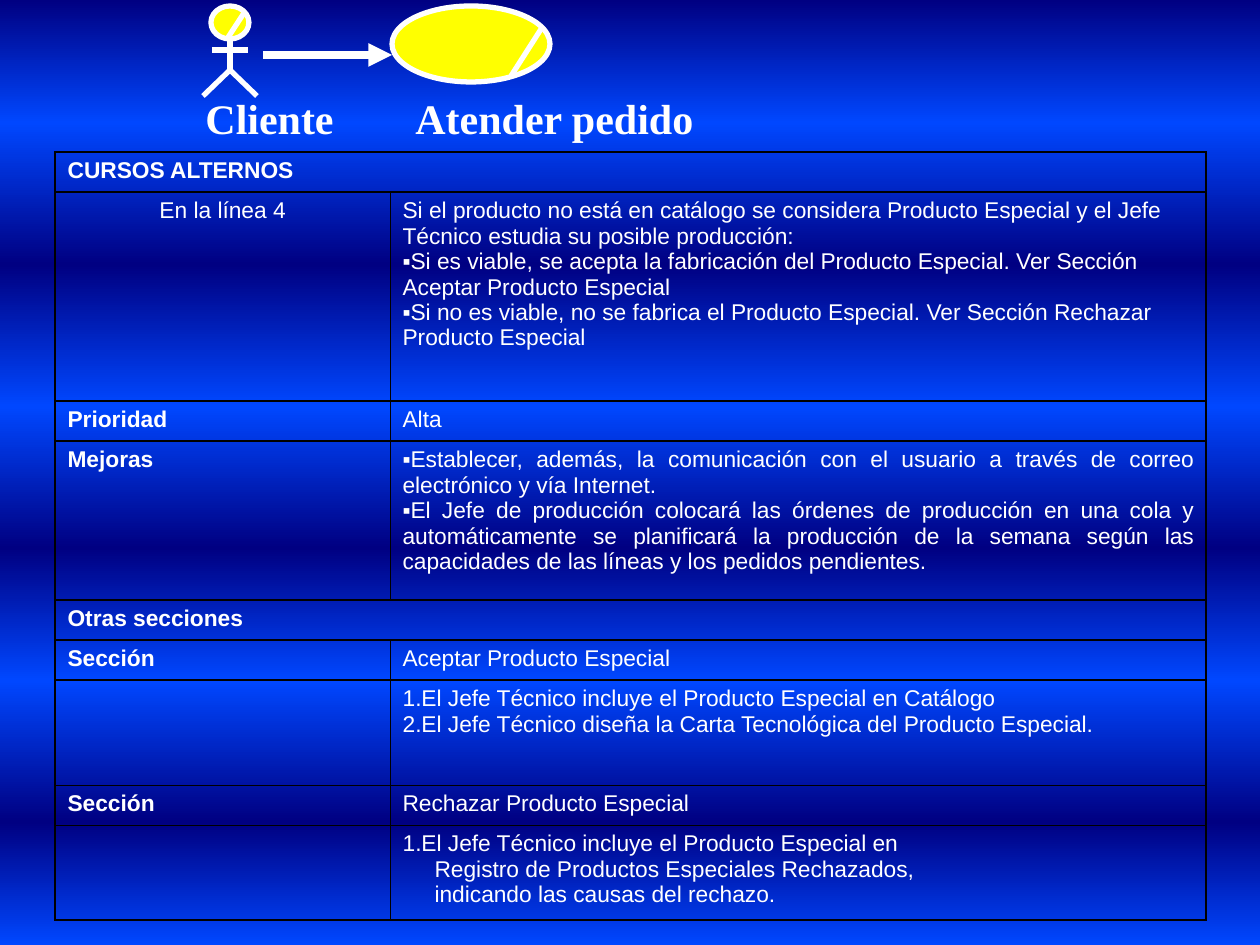
from lxml import etree
from pptx import Presentation
from pptx.dml.color import RGBColor
from pptx.enum.shapes import MSO_CONNECTOR, MSO_SHAPE
from pptx.enum.text import PP_ALIGN
from pptx.oxml.ns import qn
from pptx.util import Pt

STRAIGHT = MSO_CONNECTOR.STRAIGHT
OVAL = MSO_SHAPE.OVAL
LEFT, CENTER, JUSTIFY = PP_ALIGN.LEFT, PP_ALIGN.CENTER, PP_ALIGN.JUSTIFY

PX = 914400 / 126  # EMU in one px
THEME = {
    "navy": "000082", "blue": "0047FF", "border": "000000",
    "white": RGBColor(255, 255, 255), "yellow": RGBColor(255, 255, 0),
    "title_font": "Times New Roman", "title_size": Pt(24),
    "body_font": "Arial", "body_size": Pt(13),
    "figure_line": Pt(3), "arrow_line": Pt(4.5),
    "border_line": Pt(1), "thin_line": Pt(0.25),
}


def emu(*lengths):
    return [round(length * PX) for length in lengths]


def add_line(shapes, x1, y1, x2, y2, width=THEME["figure_line"]):
    line = shapes.add_connector(STRAIGHT, *emu(x1, y1, x2, y2))
    line.line.color.rgb = THEME["white"]
    line.line.width = width
    etree.SubElement(line._element.spPr, qn("a:effectLst"))
    return line


deck = Presentation()
deck.slide_width, deck.slide_height = emu(1260, 945)
page = deck.slides.add_slide(deck.slide_layouts[6])

# Background: blue bands from top to bottom
fill = page.background.fill
fill.gradient()
fill.gradient_angle = 270
stops = page.background._cSld.find(".//" + qn("a:gsLst"))
for stop in list(stops):
    stops.remove(stop)
for index, position in enumerate([0, 13, 28, 43, 58, 72, 87, 100]):
    stop = etree.SubElement(stops, qn("a:gs"), pos=str(position * 1000))
    etree.SubElement(stop, qn("a:srgbClr"), val=THEME["blue" if index % 2 else "navy"])

# Actor and use case: an oval and its strokes in each group
figures = [
    ((211, 6, 38, 33), [(230, 38, 230, 70), (212, 50, 248, 50), (230, 70, 203, 96),
                        (230, 70, 257, 96), (244, 13, 227, 39)]),
    ((392, 6, 158, 76), [(543, 26, 511, 76)]),
]
for oval_box, strokes in figures:
    group = page.shapes.add_group_shape()
    oval = group.shapes.add_shape(OVAL, *emu(*oval_box))
    oval.shadow.inherit = False
    oval.fill.solid()
    oval.fill.fore_color.rgb = THEME["yellow"]
    oval.line.color.rgb = THEME["white"]
    oval.line.width = THEME["figure_line"]
    for stroke in strokes:
        add_line(group.shapes, *stroke)

# Arrow from actor to use case
arrow = add_line(page.shapes, 263, 55, 392, 55, THEME["arrow_line"])
etree.SubElement(arrow.line._get_or_add_ln(), qn("a:tailEnd"), type="triangle")

# Names below the figures, set apart by a tab stop
box = page.shapes.add_textbox(*emu(193, 86, 538, 63))
box.text_frame.word_wrap = True
para = box.text_frame.paragraphs[0]
para.text = "Cliente\tAtender pedido"
tabs = etree.SubElement(para._p.get_or_add_pPr(), qn("a:tabLst"))
etree.SubElement(tabs, qn("a:tab"), pos=str(emu(210)[0]), algn="l")
para.font.name, para.font.size = THEME["title_font"], THEME["title_size"]
para.font.bold, para.font.color.rgb = True, THEME["white"]

# Table rows: height, label, label alignment, content alignment,
# content as (marker, text); a row without content spans both columns
rows = [
    (40, "CURSOS ALTERNOS", JUSTIFY, LEFT, []),
    (209, "En la línea 4", CENTER, LEFT, [
        ("", "Si el producto no está en catálogo se considera Producto Especial y el Jefe "
             "Técnico estudia su posible producción:"),
        ("▪", "Si es viable, se acepta la fabricación del Producto Especial. Ver Sección "
              "Aceptar Producto Especial"),
        ("▪", "Si no es viable, no se fabrica el Producto Especial. Ver Sección Rechazar "
              "Producto Especial")]),
    (40, "Prioridad", LEFT, JUSTIFY, [("", "Alta")]),
    (159, "Mejoras", LEFT, JUSTIFY, [
        ("▪", "Establecer, además, la comunicación con el usuario a través de correo "
              "electrónico y vía Internet."),
        ("▪", "El Jefe de producción colocará las órdenes de producción en una cola y "
              "automáticamente se planificará la producción de la semana según las "
              "capacidades de las líneas y los pedidos pendientes.")]),
    (40, "Otras secciones", LEFT, LEFT, []),
    (40, "Sección", LEFT, JUSTIFY, [("", "Aceptar Producto Especial")]),
    (105, "", LEFT, JUSTIFY, [
        ("1.", "El Jefe Técnico incluye el Producto Especial en Catálogo"),
        ("1.", "El Jefe Técnico diseña la Carta Tecnológica del Producto Especial.")]),
    (40, "Sección", LEFT, JUSTIFY, [("", "Rechazar Producto Especial")]),
    (95, "", LEFT, JUSTIFY, [
        ("1.", "El Jefe Técnico incluye el Producto Especial en"),
        ("indent", "Registro de Productos Especiales Rechazados,"),
        ("indent", "indicando las causas del rechazo.")]),
]
thin_edges = (7, 8)  # horizontal edges, counted from the top

height = sum(row[0] for row in rows)
table = page.shapes.add_table(len(rows), 2, *emu(55, 152, 1151, height)).table
table.first_row = table.horz_banding = False
table.columns[0].width, table.columns[1].width = emu(335, 816)

for index, (row_height, label, label_align, content_align, content) in enumerate(rows):
    table.rows[index].height = emu(row_height)[0]
    if not content:
        table.cell(index, 0).merge(table.cell(index, 1))
    cells = [(label_align, [("", label)] if label else []), (content_align, content)]
    for column, (align, lines) in enumerate(cells):
        cell = table.cell(index, column)

        # Text
        for number, (marker, text) in enumerate(lines):
            frame = cell.text_frame
            para = frame.add_paragraph() if number else frame.paragraphs[0]
            para.text, para.alignment = text, align
            props = para._p.get_or_add_pPr()
            if marker == "▪":
                etree.SubElement(props, qn("a:buFont"), typeface=THEME["body_font"])
                etree.SubElement(props, qn("a:buChar"), char=marker)
            elif marker == "1.":
                etree.SubElement(props, qn("a:buFont"), typeface=THEME["body_font"])
                etree.SubElement(props, qn("a:buAutoNum"), type="arabicPeriod")
            elif marker == "indent":
                props.set("marL", str(emu(32)[0]))
            para.font.name, para.font.size = THEME["body_font"], THEME["body_size"]
            para.font.bold = column == 0 and align != CENTER
            para.font.color.rgb = THEME["white"]

        # Borders and fill
        thin = {
            "a:lnL": column == 1 and bool(content),
            "a:lnR": column == 0 and bool(content),
            "a:lnT": index in thin_edges,
            "a:lnB": index + 1 in thin_edges,
        }
        cell_props = cell._tc.get_or_add_tcPr()
        for side, is_thin in thin.items():
            width = THEME["thin_line" if is_thin else "border_line"]
            border = etree.SubElement(cell_props, qn(side), w=str(int(width)))
            solid = etree.SubElement(border, qn("a:solidFill"))
            etree.SubElement(solid, qn("a:srgbClr"), val=THEME["border"])
        cell.fill.background()

deck.save("out.pptx")
